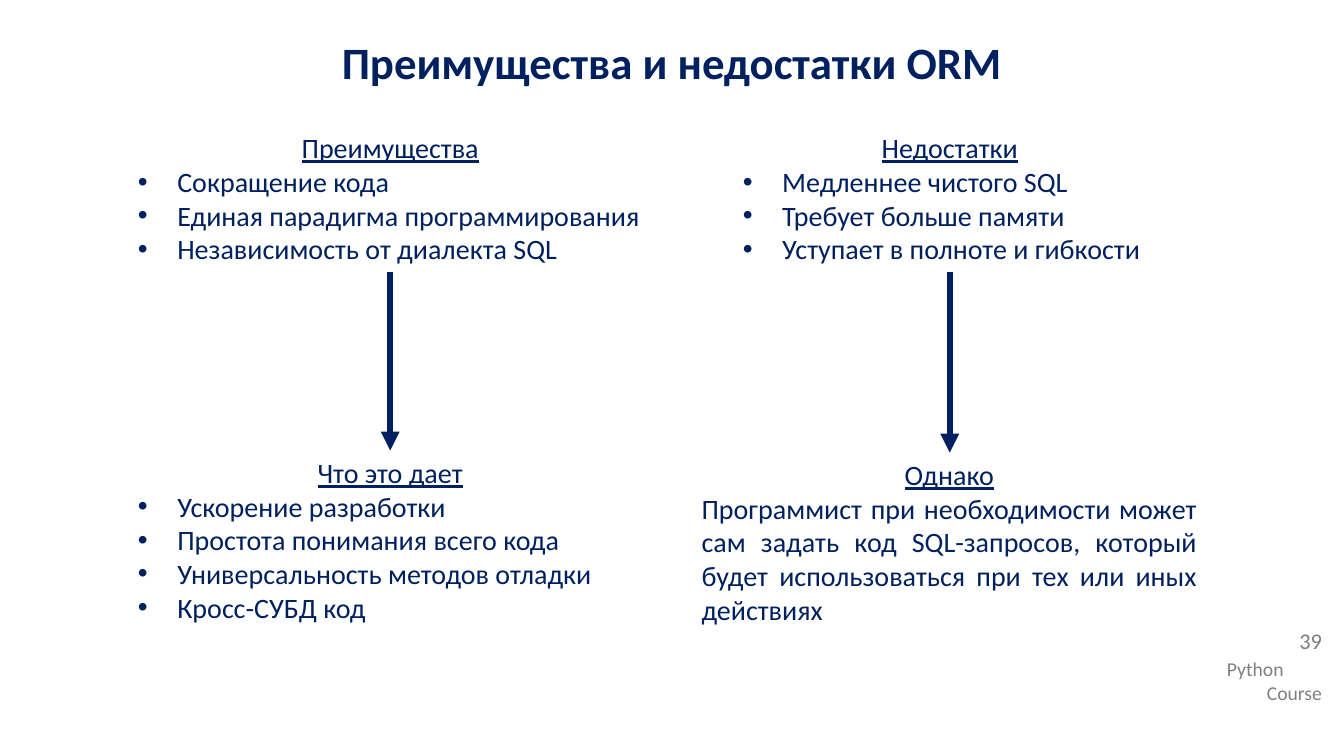
from lxml import etree
from pptx import Presentation
from pptx.dml.color import RGBColor
from pptx.enum import shapes, text
from pptx.oxml.ns import qn
from pptx.util import Inches, Pt

NAVY, GREY = "002060", "808080"
ALIGN = text.PP_ALIGN


def paint(color, value):
    color.rgb = RGBColor.from_string(value)


def add_box(slide, left, top, width, height):
    frame = slide.shapes.add_textbox(
        Inches(left), Inches(top), Inches(width), Inches(height)).text_frame
    frame.word_wrap = True
    return frame


def add_line(frame, words, size, color, align=ALIGN.LEFT):
    first = frame.paragraphs[0]
    para = frame.add_paragraph() if first.runs else first
    para.text = words
    para.alignment = align
    para.font.name = "Calibri"
    para.font.size = Pt(size)
    paint(para.font.color, color)
    return para


def add_bullet(para):
    props = para._p.get_or_add_pPr()
    props.set("marL", str(Inches(0.39)))
    props.set("indent", str(Inches(-0.39)))
    font = etree.Element(qn("a:buFont"), typeface="Arial")
    mark = etree.Element(qn("a:buChar"), char="•")
    props.insert_element_before(font, "a:tabLst", "a:defRPr", "a:extLst")
    font.addnext(mark)


def add_title(slide, words):
    frame = add_box(slide, 0, 0.23, 13.33, 0.76)
    frame.vertical_anchor = text.MSO_ANCHOR.MIDDLE
    para = add_line(frame, words, 32, NAVY, ALIGN.CENTER)
    para.font.bold = True
    para.space_after = Pt(5)


def add_block(slide, left, top, width, head, items, bullets=True):
    height = 1.45 if len(items) == 3 else 1.78
    frame = add_box(slide, left, top, width, height)
    add_line(frame, head, 20, NAVY, ALIGN.CENTER).font.underline = True
    for item in items:
        if bullets:
            add_bullet(add_line(frame, item, 20, NAVY))
        else:
            add_line(frame, item, 20, NAVY, ALIGN.JUSTIFY)


def add_arrow(slide, x, top, bottom):
    arrow = slide.shapes.add_connector(
        shapes.MSO_CONNECTOR.STRAIGHT,
        Inches(x), Inches(top), Inches(x), Inches(bottom))
    arrow.line.width = Pt(4.5)
    paint(arrow.line.color, NAVY)
    etree.SubElement(arrow.line._get_or_add_ln(), qn("a:tailEnd"), type="triangle")
    etree.SubElement(arrow._element.spPr, qn("a:effectLst"))


def add_footer(slide, left, top, width):
    frame = add_box(slide, left, top + 0.27, width, 0.57)
    add_line(frame, "Python", 14, GREY)
    add_line(frame, "Course", 14, GREY, ALIGN.RIGHT)
    page = add_box(slide, left, top, width, 0.45)
    add_line(page, "39", 16, GREY, ALIGN.RIGHT).line_spacing = 0.9


def main():
    deck = Presentation()
    deck.slide_width, deck.slide_height = Inches(13.33), Inches(7.5)
    slide = deck.slides.add_slide(deck.slide_layouts[6])
    add_footer(slide, 12.07, 6.2, 1.14)
    add_title(slide, "Преимущества и недостатки ORM")
    add_block(slide, 1.27, 1.25, 5.2, "Преимущества", [
        "Сокращение кода",
        "Единая парадигма программирования",
        "Независимость от диалекта SQL"])
    add_block(slide, 1.27, 4.47, 5.2, "Что это дает", [
        "Ускорение разработки",
        "Простота понимания всего кода",
        "Универсальность методов отладки",
        "Кросс-СУБД код"])
    add_block(slide, 7.27, 1.25, 4.3, "Недостатки", [
        "Медленнее чистого SQL",
        "Требует больше памяти",
        "Уступает в полноте и гибкости"])
    add_block(slide, 6.86, 4.49, 5.11, "Однако", [
        "Программист при необходимости может сам задать код SQL-запросов, "
        "который будет использоваться при тех или иных действиях"], bullets=False)
    add_arrow(slide, 3.87, 2.7, 4.47)
    add_arrow(slide, 9.42, 2.7, 4.49)
    deck.save("out.pptx")


if __name__ == "__main__":
    main()
